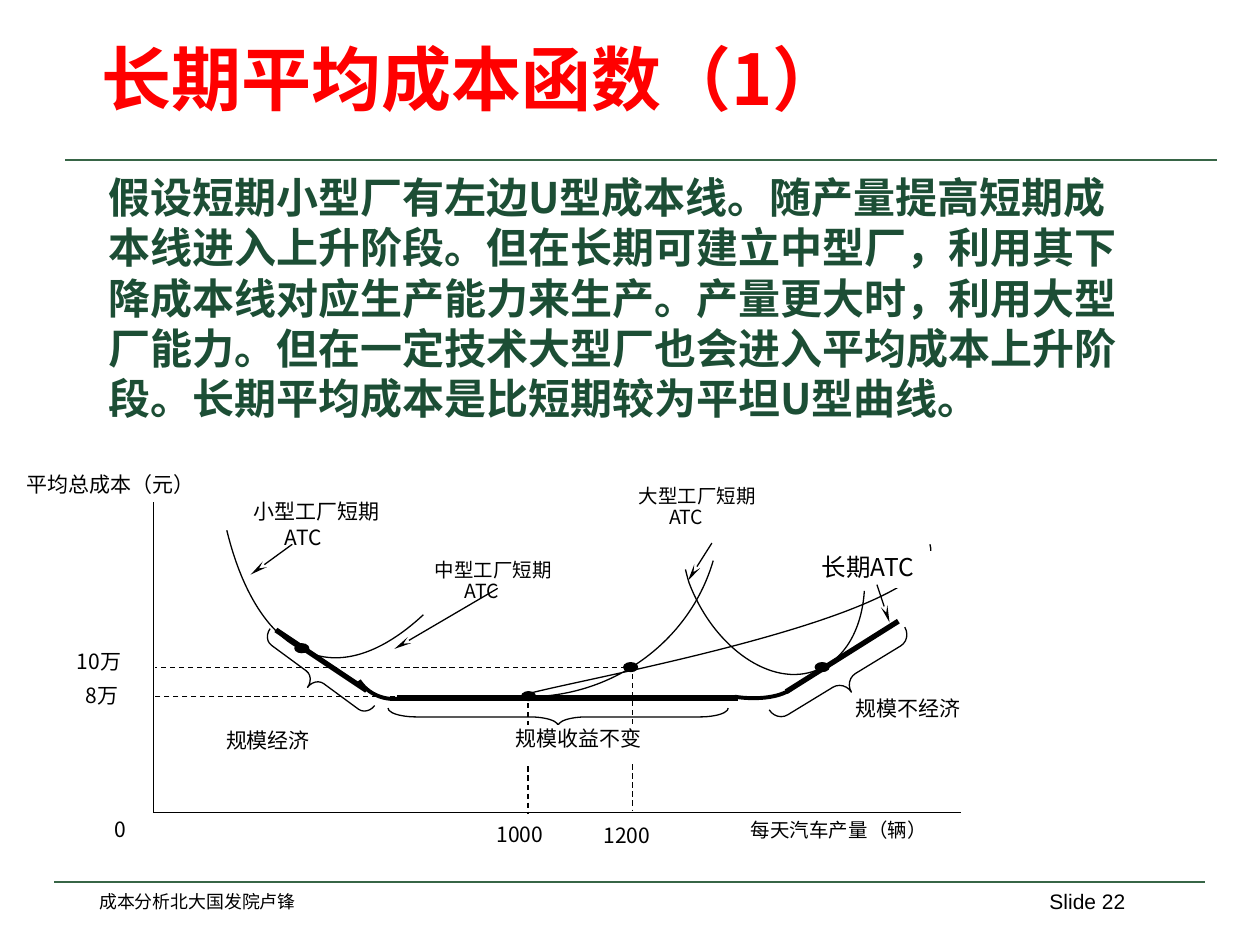
from dataclasses import dataclass
from math import cos, radians, sin
from typing import NamedTuple

from lxml.etree import SubElement
from pptx import Presentation
from pptx.dml.color import RGBColor
from pptx.enum.dml import MSO_LINE_DASH_STYLE as Dash
from pptx.enum.shapes import MSO_CONNECTOR_TYPE as Connector, MSO_SHAPE as Preset
from pptx.enum.text import MSO_ANCHOR as Anchor, PP_ALIGN as Align
from pptx.oxml.ns import qn
from pptx.util import Inches, Pt


@dataclass(frozen=True)
class Theme:
    """Colours, fonts, type sizes and line widths."""
    black: str = "000000"
    white: str = "FFFFFF"
    red: str = "FF0000"
    green: str = "1C4E35"
    rule: str = "376546"
    cjk: str = "Noto Sans CJK SC"
    sans: str = "Arial"
    serif: str = "Times New Roman"
    title: float = 40
    body: float = 24
    large: float = 14
    label: float = 12
    small: float = 11.1
    footer: float = 10.2
    thin: float = 0.74
    rule_width: float = 1.5
    arc: float = 2.24
    thick: float = 3


THEME = Theme()


class Stroke(NamedTuple):
    start: tuple
    end: tuple
    width: float = THEME.thin
    color: str = THEME.black
    dashed: bool = False
    arrow: bool = False


class Curve(NamedTuple):
    """A turned box, a start point, then cubics of two controls and an end."""
    box: tuple
    rotation: float
    start: tuple
    segments: tuple
    width: float = THEME.thin


class Brace(NamedTuple):
    preset: Preset
    box: tuple
    rotation: float


class Text(NamedTuple):
    box: tuple
    lines: tuple
    size: float = THEME.label
    font: str = THEME.cjk
    color: str = THEME.black
    align: Align = Align.JUSTIFY
    spacing: float = 1.0
    indents: tuple = (0, 0)
    bold: bool = False
    anchor: Anchor = Anchor.TOP
    margins: tuple = (0, 0)
    boxed: bool = True


RULES = [Stroke((0.52, 1.27), (9.66, 1.27), THEME.rule_width, THEME.rule),
         Stroke((0.43, 7), (9.56, 7), THEME.rule_width, THEME.rule)]
AXES = [Stroke((1.22, 6.45), (7.63, 6.45)), Stroke((1.22, 6.45), (1.22, 3.92))]
LONG_RUN = [Stroke(start, end, THEME.thick) for start, end in (
    ((3.15, 5.54), (5.86, 5.54)), ((6.24, 5.49), (7.13, 4.93)), ((2.91, 5.48), (2.19, 5)))]
GUIDES = [Stroke(start, end, dashed=True) for start, end in (
    ((3.35, 5.53), (1.21, 5.53)), ((5.02, 5.35), (5.02, 6.43)),
    ((4.19, 5.51), (4.19, 6.46)), ((4.97, 5.3), (1.23, 5.3)))]
ARROWS = [Stroke(start, end, arrow=True) for start, end in (
    ((2.32, 4.32), (1.99, 4.56)), ((3.95, 4.67), (3.13, 5.15)),
    ((5.65, 4.31), (5.46, 4.61)), ((6.96, 4.64), (7.06, 4.94)))]
CURVES = [
    Curve((1.35, 3.02, 2.73, 1.65), 101.2, (3.36, 4.88),
          ((3.08, 5.14, 2.8, 5.26, 2.55, 5.21), (2.2, 5.14, 1.94, 4.78, 1.8, 4.21))),
    Curve((3.45, 3.31, 1.49, 2.97), 88.2, (5.66, 4.45),
          ((5.48, 5.07, 4.9, 5.51, 4.23, 5.53), (3.52, 5.56, 7.58, 4.97, 7.38, 4.32))),
    Curve((5.67, 4.18, 1.12, 1.27), 69, (6.86, 4.69),
          ((6.84, 5, 6.7, 5.24, 6.48, 5.32), (6.13, 5.46, 5.67, 5.15, 5.47, 4.63),
           (5.46, 4.6, 5.45, 4.56, 5.44, 4.52))),
    Curve((5.95, 5.23, 0.23, 0.45), 99.2, (6.29, 5.46),
          ((6.21, 5.53, 6.03, 5.56, 5.83, 5.53),), THEME.arc),
    Curve((2.9, 5.29, 0.34, 0.3), 147.8, (3.2, 5.54),
          ((3.06, 5.57, 2.92, 5.51, 2.85, 5.4),), THEME.arc)]
BRACES = [Brace(Preset.LEFT_BRACE, (4.36, 4.34, 0.14, 2.7), 270),
          Brace(Preset.LEFT_BRACE, (2.4, 4.86, 0.2, 1.03), 306.3),
          Brace(Preset.RIGHT_BRACE, (6.59, 4.77, 0.22, 1.26), 58.6)]
DOTS = [(4.14, 5.49), (2.34, 5.11), (6.47, 5.26), (4.95, 5.26)]

FRAME = {"margins": (0.1, 0.05), "boxed": False}
HEADINGS = [
    Text((0.69, 7.02, 6.16, 0.27), ("成本分析北大国发院卢锋",), THEME.footer, THEME.sans,
         align=Align.LEFT, **FRAME),
    Text((7.83, 7, 1.2, 0.5), ("Slide 22",), THEME.label, THEME.sans, align=Align.RIGHT, **FRAME),
    Text((0.71, 0.25, 8.67, 0.75), ("长期平均成本函数（1）",), THEME.title, color=THEME.red,
         align=Align.LEFT, bold=True, anchor=Anchor.BOTTOM, **FRAME),
    Text((0.76, 1.31, 8.28, 2.1), (
        "假设短期小型厂有左边U型成本线。随产量提高短期成本线进入上升阶段。"
        "但在长期可建立中型厂，利用其下降成本线对应生产能力来生产。"
        "产量更大时，利用大型厂能力。但在一定技术大型厂也会进入平均成本上升阶段。"
        "长期平均成本是比短期较为平坦U型曲线。",),
        THEME.body, color=THEME.green, align=Align.LEFT, bold=True, **FRAME)]
TIGHT = {"size": THEME.small, "spacing": 0.9}
LABELS = [
    Text((4.79, 6.53, 0.66, 0.24), ("1200",)),
    Text((2.01, 3.96, 1.43, 0.43), ("小型工厂短期", "ATC"), indents=(0, 0.25)),
    Text((3.45, 4.45, 1.48, 0.38), ("中型工厂短期", "ATC"), indents=(0, 0.24), **TIGHT),
    Text((5.07, 3.86, 1.43, 0.39), ("大型工厂短期", "ATC"), indents=(0, 0.24), **TIGHT),
    Text((6.4, 4.38, 1, 0.28), ("长期ATC",), THEME.large, indents=(0.12,)),
    Text((3.94, 6.52, 0.66, 0.24), ("1000",)),
    Text((0.61, 5.15, 0.53, 0.21), ("10万",)),
    Text((0.68, 5.42, 0.43, 0.23), ("8万",)),
    Text((5.96, 6.51, 2.07, 0.19), ("每天汽车产量（辆）",), **TIGHT),
    Text((0.21, 3.74, 1.68, 0.24), ("平均总成本（元）",)),
    Text((0.91, 6.48, 0.19, 0.22), ("0",)),
    Text((3.87, 5.76, 1.44, 0.3), ("规模收益不变",), font=THEME.serif, align=Align.CENTER),
    Text((6.79, 5.52, 0.99, 0.26), ("规模不经济",), font=THEME.serif),
    Text((1.54, 5.77, 0.92, 0.22), ("规模经济",), font=THEME.serif, align=Align.RIGHT)]


def apply(target, values: dict) -> None:
    """Set each named attribute on the target."""
    for name, value in values.items():
        setattr(target, name, value)


def inches(values: tuple) -> list:
    """Turn numbers into lengths."""
    return [Inches(value) for value in values]


def paint(shape, fill: str | None, line: str, width: float = THEME.thin) -> None:
    """Give a shape its fill and outline, without shadow."""
    shape.shadow.inherit = False
    if fill:
        shape.fill.solid()
        shape.fill.fore_color.rgb = RGBColor.from_string(fill)
    else:
        shape.fill.background()
    shape.line.color.rgb = RGBColor.from_string(line)
    shape.line.width = Pt(width)


def draw_stroke(shapes, stroke: Stroke) -> None:
    """Draw a straight line, dashed or with an arrowhead if asked."""
    connector = shapes.add_connector(Connector.STRAIGHT, *inches(stroke.start + stroke.end))
    connector.line.color.rgb = RGBColor.from_string(stroke.color)
    connector.line.width = Pt(stroke.width)
    if stroke.dashed:
        connector.line.dash_style = Dash.DASH
    if stroke.arrow:
        SubElement(connector.line._get_or_add_ln(), qn("a:tailEnd"),
                   type="stealth", w="sm", len="lg")
    SubElement(connector._element.spPr, qn("a:effectLst"))


def draw_curve(shapes, curve: Curve) -> None:
    """Draw cubic segments inside a turned box."""
    left, top, width, height = curve.box
    turn = radians(curve.rotation)
    builder = shapes.build_freeform(*inches((left, top)))
    builder.add_line_segments([inches(corner) for corner in (
        (left + width, top), (left + width, top + height), (left, top + height))])
    shape = builder.convert_to_shape()
    outline = next(shape._element.iter(qn("a:path")))
    outline[:] = []
    for tag, values in [("a:moveTo", curve.start)] + [("a:cubicBezTo", s) for s in curve.segments]:
        command = SubElement(outline, qn(tag))
        for x, y in zip(values[::2], values[1::2]):
            dx, dy = x - left - width / 2, y - top - height / 2
            SubElement(command, qn("a:pt"),
                       x=str(Inches(width / 2 + dx * cos(turn) + dy * sin(turn))),
                       y=str(Inches(height / 2 - dx * sin(turn) + dy * cos(turn))))
    shape.rotation = curve.rotation
    paint(shape, None, THEME.black, curve.width)


def draw_brace(shapes, brace: Brace) -> None:
    """Draw a turned brace whose bends span a twelfth of its length."""
    shape = shapes.add_shape(brace.preset, *inches(brace.box))
    shape.rotation = brace.rotation
    shape.adjustments[0] = brace.box[3] / 12 / brace.box[2]
    paint(shape, None, THEME.black)


def draw_dot(shapes, corner: tuple) -> None:
    """Mark a point on the cost curve."""
    paint(shapes.add_shape(Preset.OVAL, *inches(corner + (0.11, 0.07))), THEME.black, THEME.black)


def draw_text(shapes, text: Text) -> None:
    """Write text in a white box or a bare text box."""
    if text.boxed:
        shape = shapes.add_shape(Preset.RECTANGLE, *inches(text.box))
        paint(shape, THEME.white, THEME.white)
    else:
        shape = shapes.add_textbox(*inches(text.box))
    frame, (side, edge) = shape.text_frame, inches(text.margins)
    apply(frame, {"word_wrap": True, "vertical_anchor": text.anchor, "margin_left": side,
                  "margin_right": side, "margin_top": edge, "margin_bottom": edge})
    frame.text = "\n".join(text.lines)
    for paragraph, indent in zip(frame.paragraphs, text.indents):
        apply(paragraph, {"alignment": text.align, "line_spacing": text.spacing})
        if indent:
            paragraph._p.get_or_add_pPr().set("marL", str(Inches(indent)))
        run = paragraph.runs[0]
        apply(run.font, {"size": Pt(text.size), "name": text.font, "bold": text.bold})
        run.font.color.rgb = RGBColor.from_string(text.color)
        SubElement(run._r.get_or_add_rPr(), qn("a:ea"), typeface=THEME.cjk)


def main() -> None:
    """Build the slide and save it."""
    presentation = Presentation()
    apply(presentation, {"slide_width": Inches(10), "slide_height": Inches(7.5)})
    shapes = presentation.slides.add_slide(presentation.slide_layouts[6]).shapes
    layers = ((draw_stroke, RULES), (draw_text, HEADINGS), (draw_curve, CURVES),
              (draw_stroke, AXES + LONG_RUN + GUIDES), (draw_brace, BRACES),
              (draw_dot, DOTS), (draw_text, LABELS), (draw_stroke, ARROWS))
    for draw, items in layers:
        for item in items:
            draw(shapes, item)
    presentation.save("out.pptx")


main()
